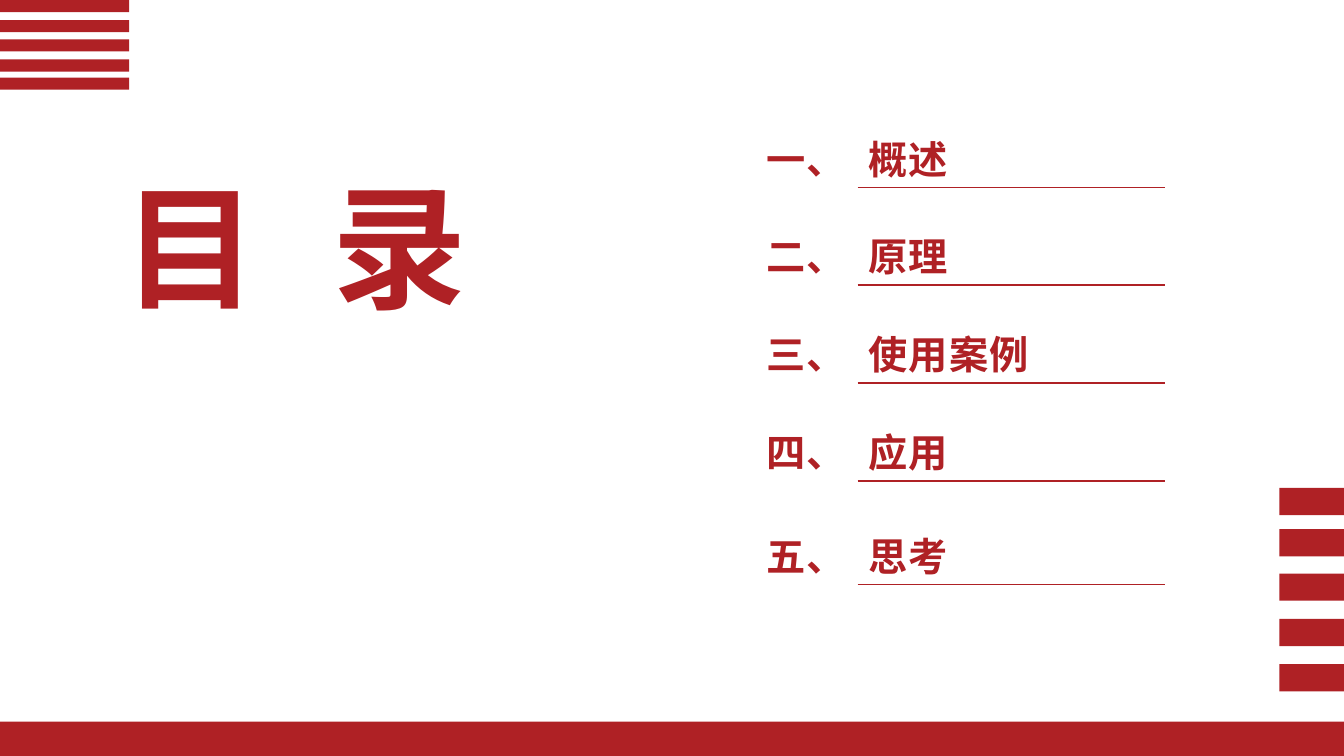
from lxml.etree import SubElement
from pptx import Presentation
from pptx.dml.color import RGBColor
from pptx.enum.lang import MSO_LANGUAGE_ID
from pptx.enum.shapes import MSO_SHAPE
from pptx.enum.text import MSO_ANCHOR, MSO_AUTO_SIZE, PP_ALIGN
from pptx.oxml import parse_xml
from pptx.oxml.ns import nsdecls, qn
from pptx.util import Inches, Pt

COLORS = {"red": "AF2125", "white": "FFFFFF"}
FONT = "Arial"
WIDTH, HEIGHT = 13.33, 7.5
TOPICS = [("一、", "概述"), ("二、", "原理"), ("三、", "使用案例"),
          ("四、", "应用"), ("五、", "思考")]


def style(para, size, gap):
    """Format the runs of a paragraph, with letter gaps in points."""
    for run in para.runs:
        font = run.font
        font.name, font.size, font.bold = FONT, Pt(size), True
        font.color.rgb = RGBColor.from_string(COLORS["red"])
        font.language_id = MSO_LANGUAGE_ID.SIMPLIFIED_CHINESE
        props = run._r.get_or_add_rPr()
        props.set("spc", str(round(gap * 100)))
        SubElement(props, qn("a:ea")).set("typeface", FONT)


def heading(slide, box):
    """Place the large title in the given box."""
    title = slide.shapes.title
    title.left, title.top, title.width, title.height = map(Inches, box)
    frame = title.text_frame
    frame.text = "目 录"
    frame.word_wrap = False
    frame.auto_size = MSO_AUTO_SIZE.SHAPE_TO_FIT_TEXT
    frame.vertical_anchor = MSO_ANCHOR.TOP
    para = frame.paragraphs[0]
    para.alignment = PP_ALIGN.LEFT
    para.line_spacing = 1
    style(para, 96, 13.35)


def rule(cell, side):
    """Draw a red border along one side of a cell."""
    line = parse_xml(
        f'<a:{side} {nsdecls("a")} w="{Pt(1.5)}"><a:solidFill>'
        f'<a:srgbClr val="{COLORS["red"]}"/></a:solidFill></a:{side}>')
    cell._tc.get_or_add_tcPr().insert(0, line)


def agenda(slide, box):
    """Fill the given box with the numbered table of topics."""
    frame = slide.shapes.add_table(len(TOPICS), 2, *map(Inches, box))
    table = frame.table
    table.first_row = table.horz_banding = False
    for col, share in zip(table.columns, (0.25, 0.75)):
        col.width = Inches(box[2] * share)
    heights = [0.97] * 4 + [1.03]
    for row, (tall, topic) in enumerate(zip(heights, TOPICS)):
        table.rows[row].height = Inches(tall)
        for col, text in enumerate(topic):
            cell = table.cell(row, col)
            cell.text = text
            cell.fill.background()
            cell.vertical_anchor = MSO_ANCHOR.BOTTOM
            para = cell.text_frame.paragraphs[0]
            para.alignment = PP_ALIGN.LEFT if col else PP_ALIGN.JUSTIFY
            para.line_spacing = 1.5
            style(para, 28, 1)
        rule(cell, "lnB")
        if row:
            rule(cell, "lnT")


def bar(shapes, box):
    """Add one plain red bar."""
    shape = shapes.add_shape(MSO_SHAPE.RECTANGLE, *map(Inches, box))
    shape.shadow.inherit = False
    shape.fill.solid()
    shape.fill.fore_color.rgb = RGBColor.from_string(COLORS["red"])
    shape.line.fill.background()


def stripes(slide, box, steps, thick):
    """Group bars in the box, each a step below its top."""
    left, top, wide = box
    group = slide.shapes.add_group_shape()
    for step in steps:
        bar(group.shapes, (left, top + step, wide, thick))


def contents(deck):
    """Build the contents slide."""
    slide = deck.slides.add_slide(deck.slide_layouts[5])
    fill = slide.background.fill
    fill.solid()
    fill.fore_color.rgb = RGBColor.from_string(COLORS["white"])
    heading(slide, (1.12, 1.58, 3.69, 1.72))
    agenda(slide, (7.5, 0.89, 4.05, 4.92))
    bar(slide.shapes, (0, HEIGHT - 0.34, WIDTH, 0.34))
    stripes(slide, (0, 0, 1.28), (0, 0.2, 0.39, 0.59, 0.77), 0.12)
    stripes(slide, (WIDTH - 0.64, 4.84, 0.64), (0, 0.41, 0.85, 1.3, 1.75), 0.27)


def main():
    """Create and save the deck."""
    deck = Presentation()
    deck.slide_width, deck.slide_height = Inches(WIDTH), Inches(HEIGHT)
    contents(deck)
    deck.save("out.pptx")


if __name__ == "__main__":
    main()
